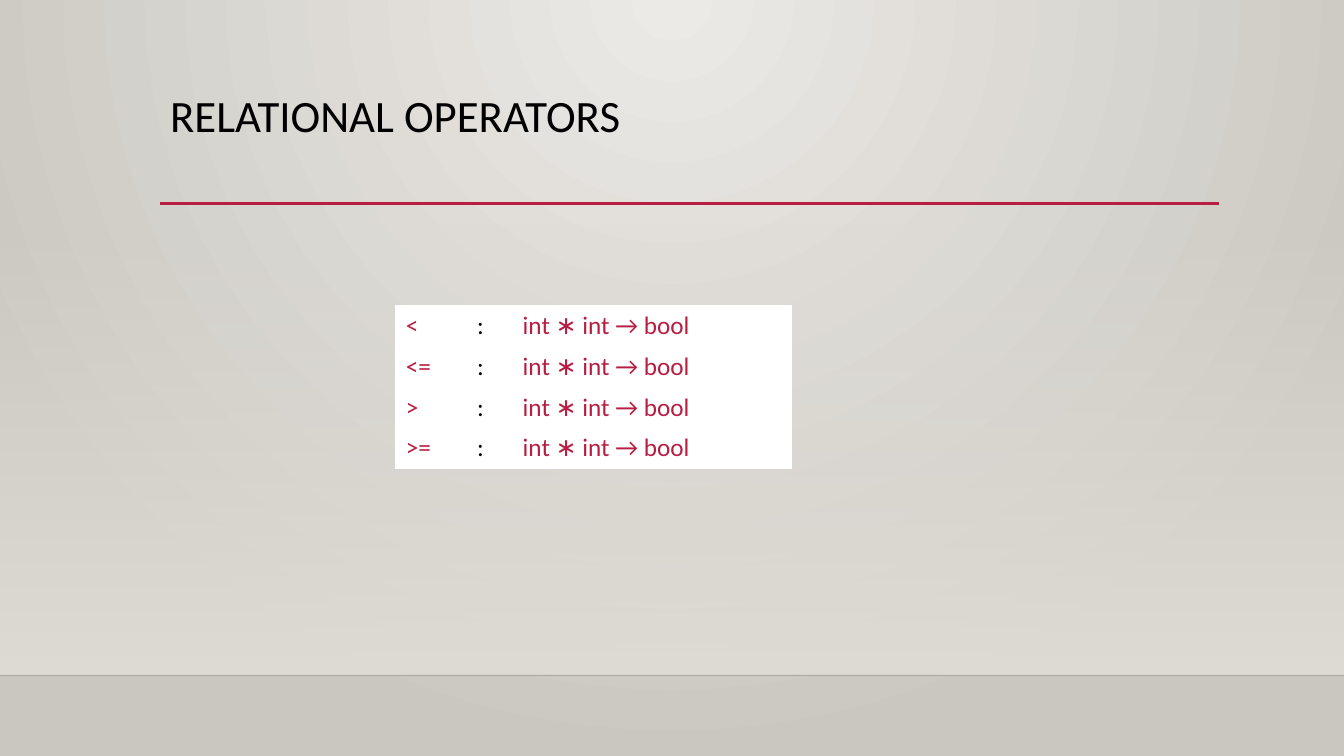
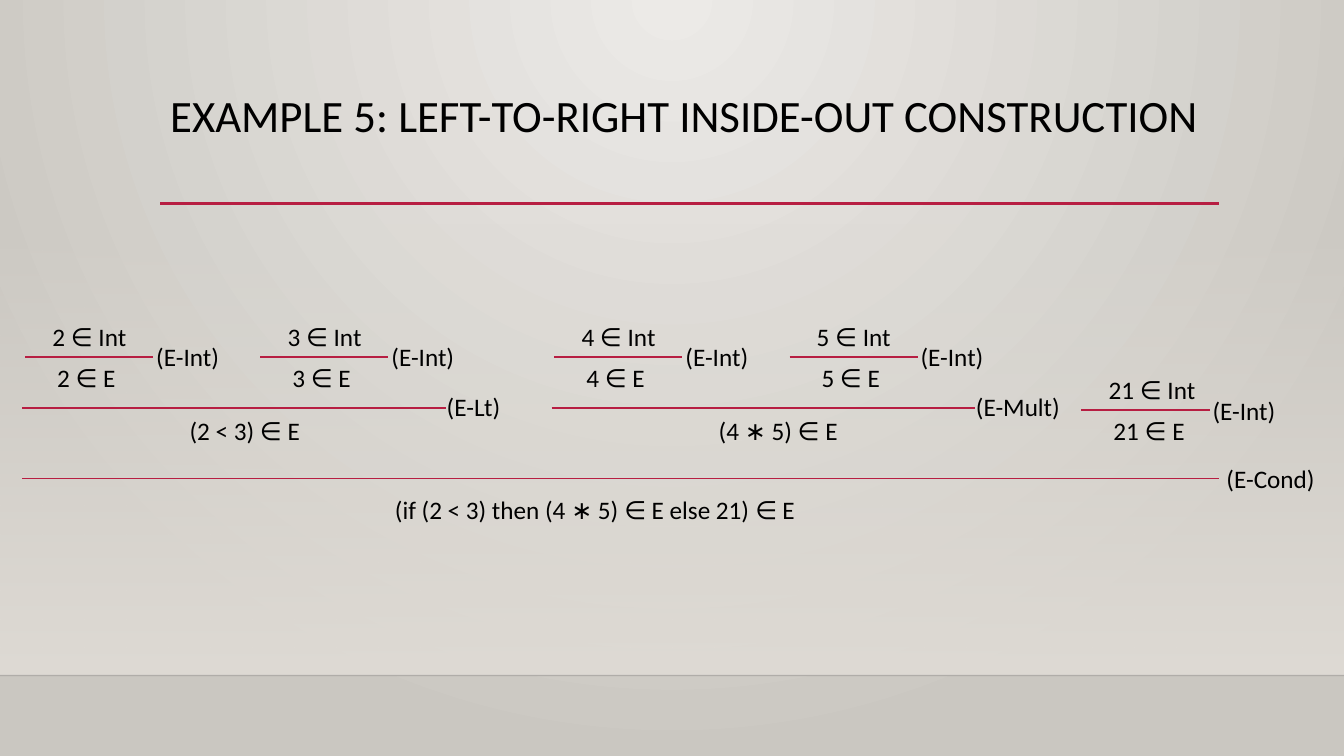
import dataclasses

import pptx
import pptx.dml.color
import pptx.enum.dml
import pptx.enum.shapes
import pptx.enum.text
import pptx.oxml
import pptx.oxml.ns
import pptx.util

Pt = pptx.util.Pt
qn = pptx.oxml.ns.qn


@dataclasses.dataclass(frozen=True)
class Theme:
    font: str = "Calibri"
    title_size: float = 32
    body_size: float = 18
    text: str = "000000"
    accent: str = "B71E42"
    white: str = "FFFFFF"
    glow: str = "ECEAE7"
    backdrop: str = "CAC7C1"
    band: str = "DFDBD5"
    floor_line: str = "000001"


THEME = Theme()
SLIDE_WIDTH = 960
SLIDE_HEIGHT = 540
FLOOR_TOP = 482.5
BAND_TOP = 159
LABEL_OFFSET = (-5, -14.5)


def rgb(value):
    return pptx.dml.color.RGBColor.from_string(value)


def add_element(parent, tag, **attributes):
    child = parent.makeelement(qn(tag), attributes)
    parent.append(child)
    return child


def set_opacity(element, percent):
    color = next(element.iter(qn("a:srgbClr")))
    add_element(color, "a:alpha", val=str(percent * 1000))


def set_gradient(fill, first, last):
    fill.gradient()
    for stop, color in zip(fill.gradient_stops, (first, last)):
        stop.color.rgb = rgb(color)


def style_runs(paragraph, size=THEME.body_size, color=THEME.text):
    for run in paragraph.runs:
        run.font.name = THEME.font
        run.font.size = Pt(size)
        run.font.bold = False
        run.font.color.rgb = rgb(color)


def add_background(slide):
    fill = slide.background.fill
    set_gradient(fill, THEME.glow, THEME.backdrop)
    gradient = next(slide.element.iter(qn("a:gradFill")))
    gradient.remove(gradient.find(qn("a:lin")))
    circle = add_element(gradient, "a:path", path="circle")
    add_element(circle, "a:fillToRect", l="43000", t="0", r="43000", b="100000")


def add_band(slide):
    band = slide.shapes.add_shape(
        pptx.enum.shapes.MSO_SHAPE.RECTANGLE,
        Pt(0), Pt(BAND_TOP), Pt(SLIDE_WIDTH), Pt(FLOOR_TOP - BAND_TOP),
    )
    band.shadow.inherit = False
    band.line.fill.background()
    set_gradient(band.fill, THEME.band, THEME.band)
    band.fill.gradient_angle = 270
    set_opacity(band.element.spPr, 0)


def add_bar(slide, left, top, width, color=THEME.accent, weight=1):
    bar = slide.shapes.add_connector(
        pptx.enum.shapes.MSO_CONNECTOR.STRAIGHT,
        Pt(left), Pt(top), Pt(left + width), Pt(top),
    )
    bar.line.color.rgb = rgb(color)
    bar.line.width = Pt(weight)
    add_element(bar.element.spPr, "a:effectLst")
    return bar


def add_text(slide, text, left, top, width, height=29):
    box = slide.shapes.add_textbox(Pt(left), Pt(top), Pt(width), Pt(height))
    frame = box.text_frame
    frame.text = text
    frame.word_wrap = False
    frame.auto_size = pptx.enum.text.MSO_AUTO_SIZE.SHAPE_TO_FIT_TEXT
    style_runs(frame.paragraphs[0])
    return frame


def add_title(slide, text):
    frame = add_text(slide, text, 114.5, 63.5, 756, 82.5)
    frame.auto_size = pptx.enum.text.MSO_AUTO_SIZE.NONE
    frame.word_wrap = True
    frame.paragraphs[0].line_spacing = 0.9
    style_runs(frame.paragraphs[0], THEME.title_size)


def add_slide(presentation, title):
    slide = presentation.slides.add_slide(presentation.slide_layouts[6])
    add_background(slide)
    add_band(slide)
    floor = add_bar(slide, 0, FLOOR_TOP, SLIDE_WIDTH, THEME.floor_line)
    set_opacity(floor.element.spPr, 20)
    add_bar(slide, 114.5, 145.3, 756.5, weight=2.5)
    add_title(slide, title)
    return slide


def set_borders(cell, bottom_weight):
    properties = cell._tc.get_or_add_tcPr()
    for side, weight in (("L", 1), ("R", 1), ("T", 1), ("B", bottom_weight)):
        line = add_element(properties, f"a:ln{side}", w=str(Pt(weight)))
        fill = add_element(line, "a:solidFill")
        add_element(fill, "a:srgbClr", val=THEME.white)


def add_operator_table(slide, operators, signature):
    column_widths = (51, 32.5, 199)
    colors = (THEME.accent, THEME.text, THEME.accent)
    row_height = 29.2
    table = slide.shapes.add_table(
        len(operators), len(column_widths), Pt(282.7), Pt(218),
        Pt(sum(column_widths)), Pt(row_height * len(operators)),
    ).table
    table.first_row = False
    table.horz_banding = False
    for column, width in zip(table.columns, column_widths):
        column.width = Pt(width)
    for row_index, operator in enumerate(operators):
        table.rows[row_index].height = Pt(row_height)
        for column_index, text in enumerate((operator, ":", signature)):
            cell = table.cell(row_index, column_index)
            set_borders(cell, 3 if row_index == 0 else 1)
            cell.fill.solid()
            cell.fill.fore_color.rgb = rgb(THEME.white)
            cell.text_frame.text = text
            style_runs(cell.text_frame.paragraphs[0], color=colors[column_index])


def add_inference(slide, left, top, width, conclusion, conclusion_offset,
                  conclusion_width, label, label_width, label_offset=LABEL_OFFSET):
    add_bar(slide, left, top, width)
    dx, dy = conclusion_offset
    add_text(slide, conclusion, left + dx, top + dy, conclusion_width)
    dx, dy = label_offset
    add_text(slide, label, left + width + dx, top + dy, label_width)


def add_integer_axiom(slide, number, left, top):
    digits_width = 10 * len(number)
    add_text(slide, f"{number} ∈ Int", left + 12.3, top - 29, 58 + digits_width)
    add_inference(slide, left, top, 91.5, f"{number} ∈ E", (15.7, 0),
                  50 + digits_width, "(E-Int)", 65)


def add_binary_rule(slide, left, numbers, conclusion, conclusion_width,
                    label, label_width):
    for index, number in enumerate(numbers):
        add_integer_axiom(slide, number, left + 2 + index * 168, 255)
    add_inference(slide, left, 291.5, 302.5, conclusion, (112.3, 1.5),
                  conclusion_width, label, label_width, (-6.5, -15.7))


def add_derivation(slide):
    add_binary_rule(slide, 16, "23", "(2 < 3) ∈ E", 106, "(E-Lt)", 60)
    add_binary_rule(slide, 394, "45", "(4 ∗ 5) ∈ E", 101.5, "(E-Mult)", 79)
    add_integer_axiom(slide, "21", 772.5, 293)
    add_inference(slide, 16, 342, 854.5,
                  "(if (2 < 3) then (4 ∗ 5) ∈ E else 21) ∈ E", (259, 7.2), 381,
                  "(E-Cond)", 88.5, (-1.5, -14.5))


def main():
    presentation = pptx.Presentation()
    presentation.slide_width = Pt(SLIDE_WIDTH)
    presentation.slide_height = Pt(SLIDE_HEIGHT)
    operators_slide = add_slide(presentation, "RELATIONAL OPERATORS")
    add_operator_table(operators_slide, ("<", "<=", ">", ">="), "int ∗ int → bool")
    example_slide = add_slide(
        presentation, "EXAMPLE 5: LEFT-TO-RIGHT INSIDE-OUT CONSTRUCTION")
    add_derivation(example_slide)
    presentation.save("out.pptx")


if __name__ == "__main__":
    main()
